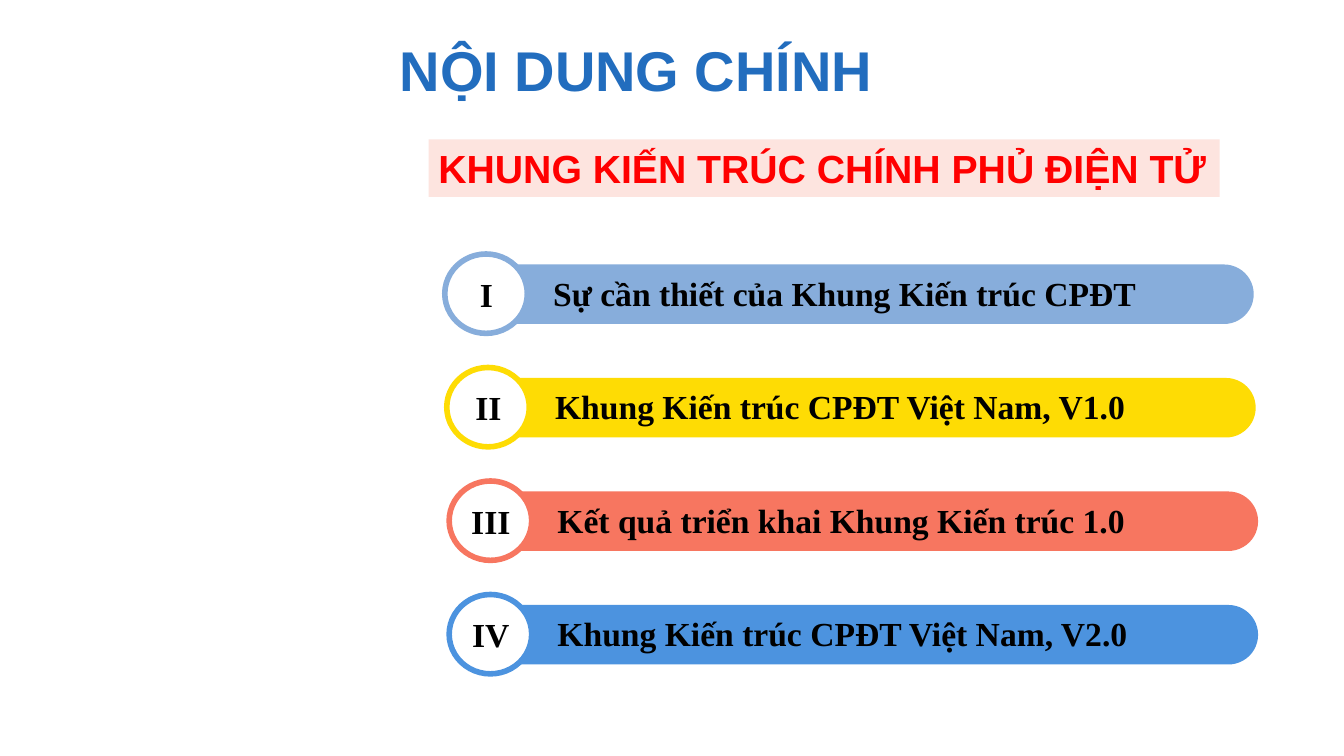
from dataclasses import dataclass

from pptx import Presentation
from pptx import util as u
from pptx.dml.color import RGBColor
from pptx.enum import shapes, text

KIND = shapes.MSO_SHAPE
ALIGN = text.PP_ALIGN
FIT = text.MSO_AUTO_SIZE


@dataclass
class Theme:
    head: str = "Arial"
    body: str = "Times New Roman"
    title: str = "226DBE"
    alert: str = "FF0000"
    blush: str = "FDE4DF"
    white: str = "FFFFFF"
    ink: str = "000000"
    big: int = 40
    mid: int = 28
    small: int = 24
    ring: int = 4


class Agenda:
    def __init__(self, deck, theme):
        self.theme = theme
        self.slide = deck.slides.add_slide(deck.slide_layouts[5])

    def letter(self, shape, words, font, size, color, align, fit):
        frame = shape.text_frame
        frame.text = words
        frame.word_wrap = True
        frame.auto_size = fit
        frame.vertical_anchor = text.MSO_ANCHOR.MIDDLE
        para = frame.paragraphs[0]
        para.alignment = align
        face = para.runs[0].font
        face.name, face.size, face.bold = font, u.Pt(size), True
        face.color.rgb = RGBColor.from_string(color)
        return frame

    def title(self, words, *box):
        t = self.theme
        shape = self.slide.shapes.title
        shape.left, shape.top, shape.width, shape.height = map(u.Cm, box)
        self.letter(shape, words, t.head, t.big, t.title, ALIGN.CENTER, FIT.NONE)

    def shape(self, home, kind, fill, *box, line=None, turn=0):
        shape = home.shapes.add_shape(kind, *map(u.Cm, box))
        shape.shadow.inherit = False
        shape.rotation = turn
        shape.fill.solid()
        shape.fill.fore_color.rgb = RGBColor.from_string(fill)
        if line:
            shape.line.color.rgb = RGBColor.from_string(line)
            shape.line.width = u.Pt(self.theme.ring)
        else:
            shape.line.fill.background()
        return shape

    def label(self, home, words, align, *box):
        t = self.theme
        shape = home.shapes.add_textbox(*map(u.Cm, box))
        return self.letter(shape, words, t.body, t.small, t.ink, align,
                           FIT.SHAPE_TO_FIT_TEXT)

    def banner(self, words, *box):
        t = self.theme
        shape = self.shape(self.slide, KIND.RECTANGLE, t.blush, *box)
        frame = self.letter(shape, words, t.head, t.mid, t.alert, ALIGN.LEFT,
                            FIT.SHAPE_TO_FIT_TEXT)
        frame.word_wrap = False

    def item(self, mark, words, color, x, y):
        group = self.slide.shapes.add_group_shape()
        bar = self.shape(group, KIND.ROUND_2_SAME_RECTANGLE, color,
                         x + 9.93, y - 8.61, 1.5, 19.33, turn=90)
        bar.adjustments[0], bar.adjustments[1] = 0.5, 0
        self.shape(group, KIND.OVAL, self.theme.white,
                   x, y, 2, 2.08, line=color, turn=270)
        frame = self.label(group, mark, ALIGN.CENTER,
                           x - 0.03, y + 0.53, 2.08, 1.02)
        frame.margin_top = frame.margin_bottom = 0
        self.label(group, words, ALIGN.LEFT, x + 2.44, y + 0.38, 17.27, 1.27)


def main():
    deck = Presentation()
    deck.slide_width, deck.slide_height = u.Cm(33.87), u.Cm(19.05)
    page = Agenda(deck, Theme())
    page.title("NỘI DUNG CHÍNH", 3.56, 0.58, 24.94, 2.34)
    items = [
        ("I", "Sự cần thiết của Khung Kiến trúc CPĐT", "87ADDB", 11.25),
        ("II", "Khung Kiến trúc CPĐT Việt Nam, V1.0", "FEDC04", 11.3),
        ("III", "Kết quả triển khai Khung Kiến trúc 1.0", "F77660", 11.36),
        ("IV", "Khung Kiến trúc CPĐT Việt Nam, V2.0", "4C93DF", 11.36),
    ]
    for row, (mark, words, color, x) in enumerate(items):
        page.item(mark, words, color, x, 6.36 + row * 2.86)
    page.banner("KHUNG KIẾN TRÚC CHÍNH PHỦ ĐIỆN TỬ", 10.8, 3.51, 19.94, 1.45)
    deck.save("out.pptx")


if __name__ == "__main__":
    main()
